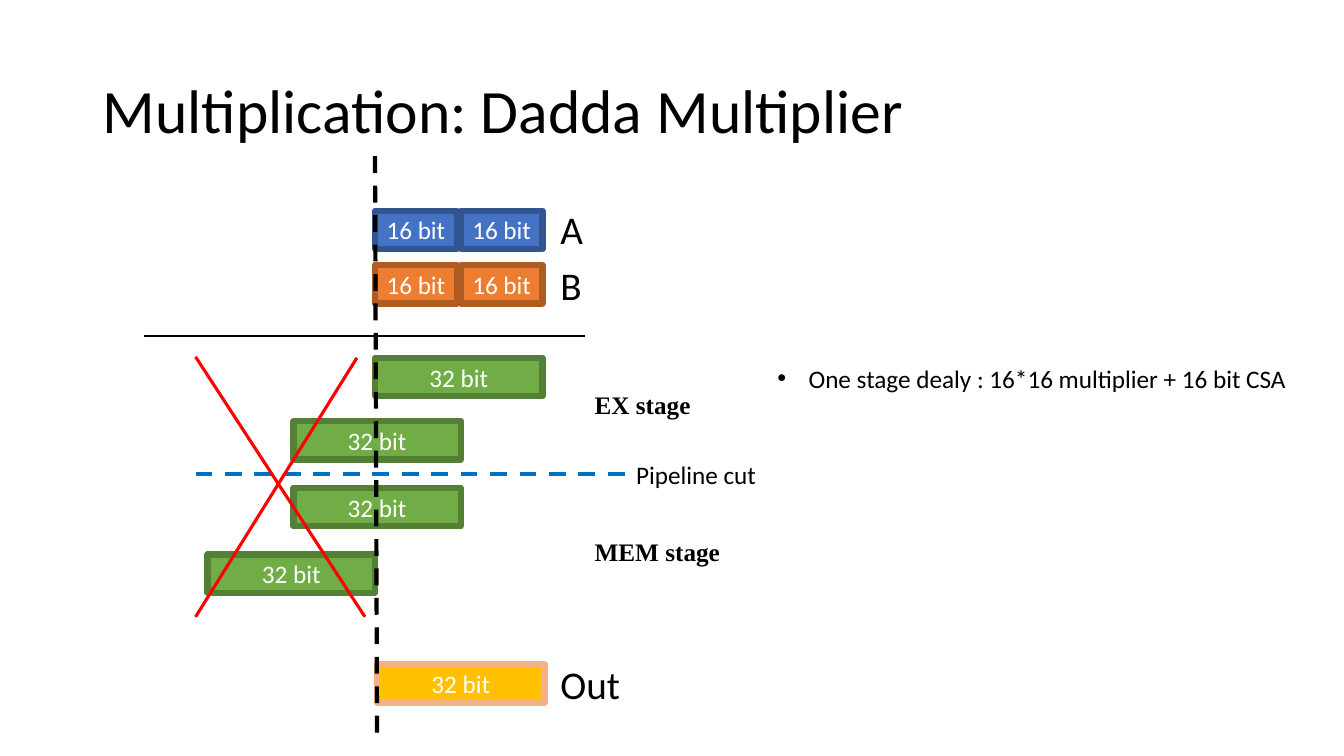
"""Build the Dadda multiplier slide with its pipeline diagram."""
from lxml import etree
from pptx import Presentation
from pptx.dml.color import RGBColor
from pptx.enum.dml import MSO_LINE_DASH_STYLE as Dash
from pptx.enum.shapes import MSO_CONNECTOR as Connector, MSO_SHAPE as Shape
from pptx.enum.text import MSO_ANCHOR as Anchor, MSO_AUTO_SIZE as AutoSize, PP_ALIGN as Align
from pptx.oxml.ns import qn
from pptx.util import Inches, Pt

COLORS = {
    "black": "000000", "white": "FFFFFF", "red": "FF0000", "cut": "0070C0",
    "a": "4472C4", "a_edge": "325491",
    "b": "ED7D31", "b_edge": "AF5C24",
    "partial": "70AD47", "partial_edge": "538035",
    "out": "FFC000", "out_edge": "F4B183",
}


def write(frame, text, size=18, color="black", font="Calibri", bold=False,
          align=Align.LEFT, anchor=Anchor.TOP, wrap=True, spacing=1.0, bullet=None):
    frame.auto_size = AutoSize.NONE
    frame.word_wrap = wrap
    frame.vertical_anchor = anchor
    para = frame.paragraphs[0]
    para.alignment = align
    para.line_spacing = spacing
    para.space_before = Pt(0)
    if bullet:
        properties = para._p.get_or_add_pPr()
        properties.set("marL", str(Inches(0.31)))
        properties.set("indent", str(-Inches(0.31)))
        etree.SubElement(properties, qn("a:buFont")).set("typeface", "Arial")
        etree.SubElement(properties, qn("a:buChar")).set("char", bullet)
    span = para.add_run()
    span.text = text
    span.font.size = Pt(size)
    span.font.name = font
    span.font.bold = bold
    span.font.color.rgb = RGBColor.from_string(COLORS[color])


deck = Presentation()
deck.slide_width, deck.slide_height = Inches(13.33), Inches(7.5)
page = deck.slides.add_slide(deck.slide_layouts[1])

title = page.shapes.title
title.left, title.top, title.width, title.height = map(Inches, (0.92, 0.4, 11.5, 1.45))
write(title.text_frame, "Multiplication: Dadda Multiplier", size=44,
      anchor=Anchor.MIDDLE, spacing=0.9)

note = page.placeholders[1]
note.left, note.top, note.width, note.height = map(Inches, (7.61, 3.55, 5.34, 0.4))
write(note.text_frame, "One stage dealy : 16*16 multiplier + 16 bit CSA",
      wrap=False, bullet="•")

HALF, FULL = 0.81, 1.66
blocks = [
    (3.72, 2.09, HALF, "a"), (4.57, 2.09, HALF, "a"),
    (3.72, 2.63, HALF, "b"), (4.57, 2.63, HALF, "b"),
    (3.72, 3.55, FULL, "partial"), (2.91, 4.18, FULL, "partial"),
    (2.91, 4.84, FULL, "partial"), (2.06, 5.5, FULL, "partial"),
    (3.74, 6.59, FULL, "out"),
]
for left, top, width, kind in blocks:
    block = page.shapes.add_shape(Shape.RECTANGLE, Inches(left), Inches(top),
                                  Inches(width), Inches(0.38))
    block.shadow.inherit = False
    block.fill.solid()
    block.fill.fore_color.rgb = RGBColor.from_string(COLORS[kind])
    block.line.color.rgb = RGBColor.from_string(COLORS[kind + "_edge"])
    block.line.width = Pt(4.5)
    write(block.text_frame, "16 bit" if width == HALF else "32 bit",
          color="white", align=Align.CENTER, anchor=Anchor.MIDDLE)

lines = [
    (1.43, 3.33, 5.8, 3.33, "black", 1.5, None),
    (1.94, 4.7, 6.21, 4.7, "cut", 3, Dash.DASH),
    (3.54, 3.55, 1.94, 6.12, "red", 2.25, None),
    (1.94, 3.54, 3.62, 6.12, "red", 2.25, None),
    (3.72, 1.55, 3.74, 7.39, "black", 3, Dash.DASH),
]
for x1, y1, x2, y2, color, weight, dash in lines:
    line = page.shapes.add_connector(Connector.STRAIGHT, Inches(x1), Inches(y1),
                                     Inches(x2), Inches(y2))
    line.line.color.rgb = RGBColor.from_string(COLORS[color])
    line.line.width = Pt(weight)
    if dash:
        line.line.dash_style = dash
    etree.SubElement(line._element.spPr, qn("a:effectLst"))

operand = {"size": 28}
stage = {"font": "Times New Roman", "bold": True, "wrap": False}
labels = [
    ("A", 5.46, 1.99, 0.81, 0.57, operand),
    ("B", 5.46, 2.54, 0.81, 0.57, operand),
    ("Out", 5.46, 6.5, 0.81, 0.57, operand),
    ("Pipeline cut", 6.21, 4.51, 1.41, 0.4, {"wrap": False}),
    ("EX stage", 5.8, 3.81, 1.16, 0.4, stage),
    ("MEM stage", 5.8, 5.27, 1.46, 0.4, stage),
]
for text, left, top, width, height, style in labels:
    box = page.shapes.add_textbox(Inches(left), Inches(top), Inches(width), Inches(height))
    write(box.text_frame, text, **style)

deck.save("out.pptx")
